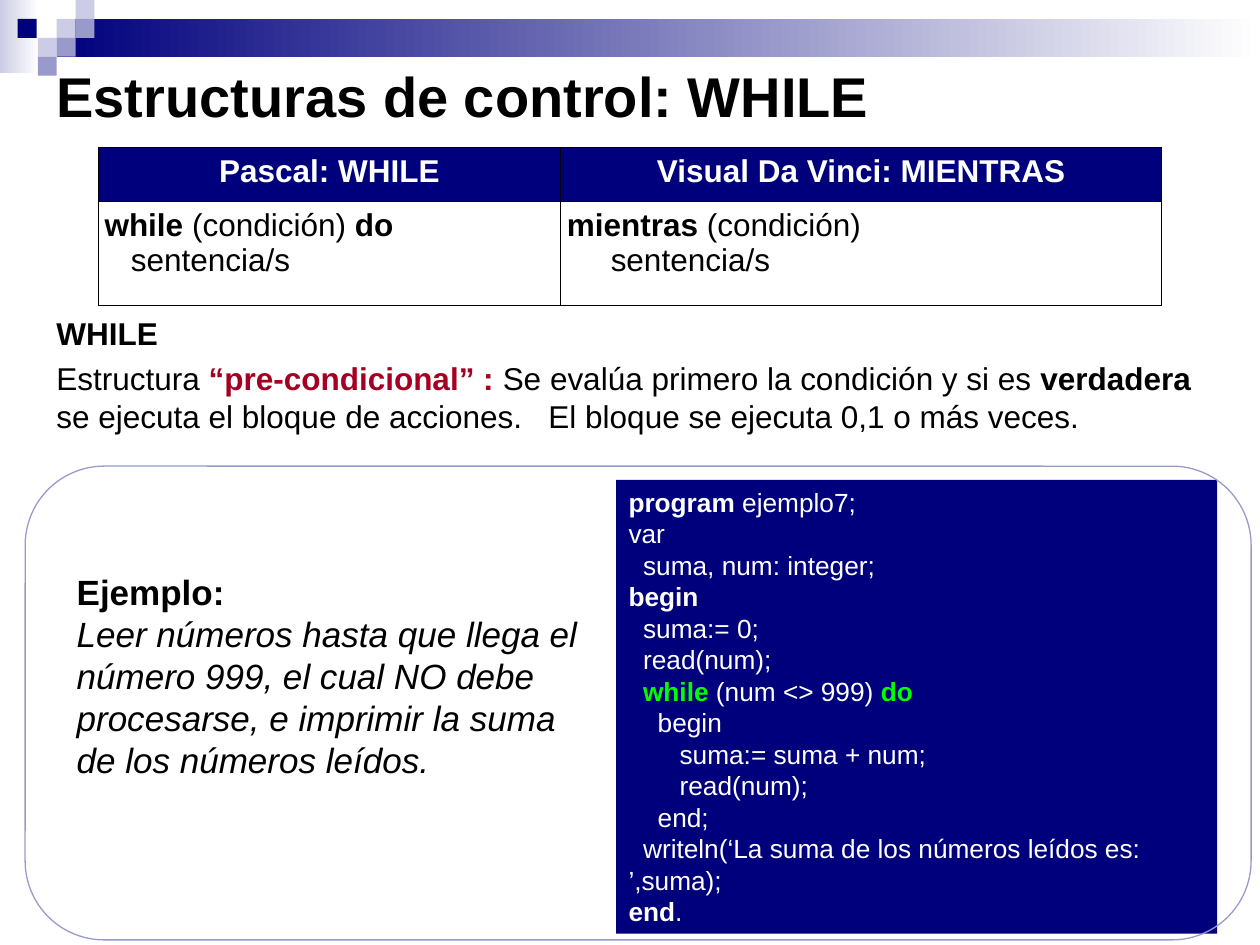
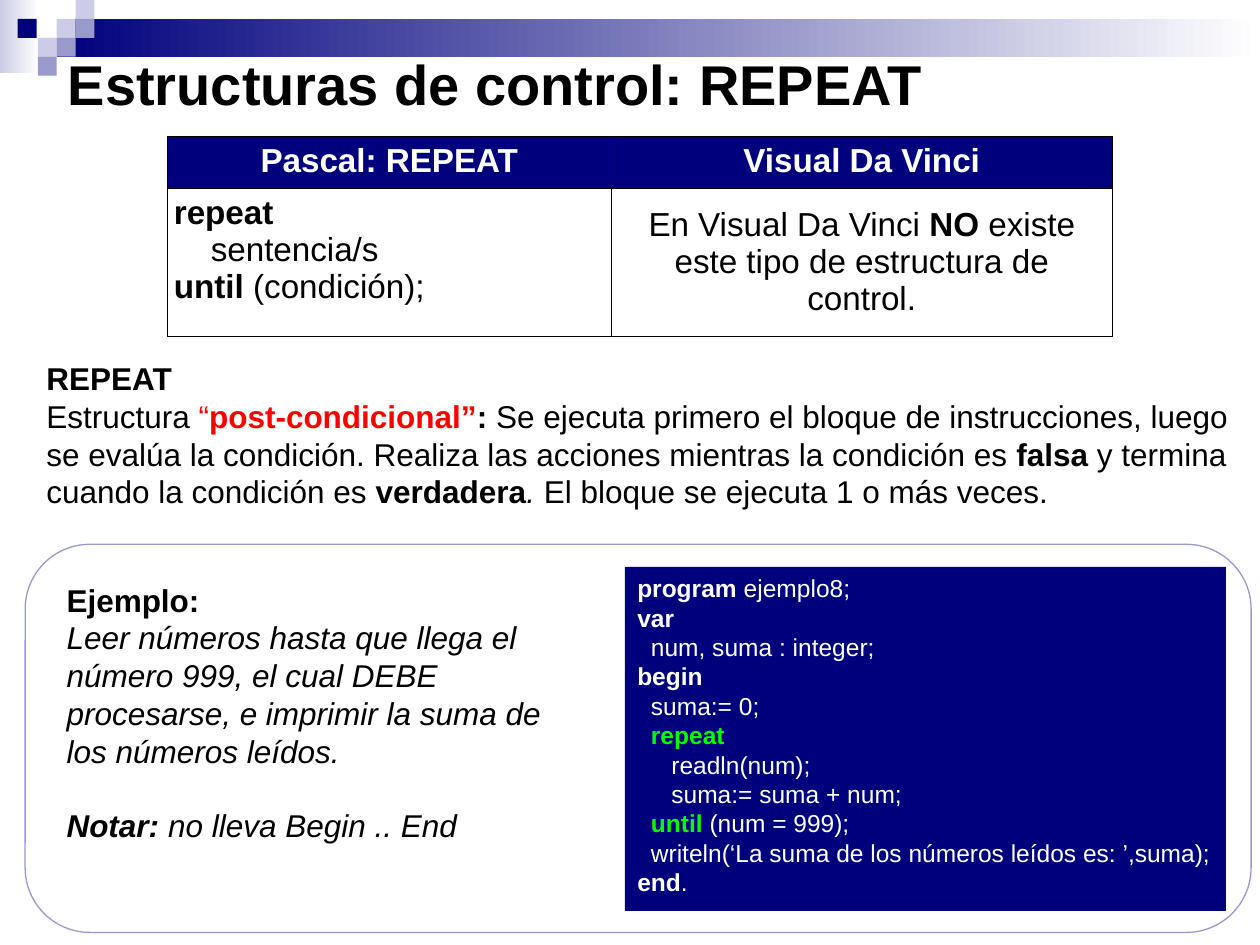
"""Build two slides on the WHILE and REPEAT control structures."""
from lxml.etree import SubElement
from pptx import Presentation
from pptx.dml.color import RGBColor
from pptx.enum.shapes import MSO_SHAPE
from pptx.enum.text import MSO_ANCHOR, PP_ALIGN
from pptx.oxml.ns import qn
from pptx.util import Inches, Pt

COLORS = {
    "navy": "00007D", "lavender": "9999CC", "mist": "CCCCE6", "white": "FFFFFF",
    "black": "000000", "crimson": "A50021", "red": "FF0000", "green": "00FF00",
}
FORMATS = {
    "plain": {},
    "bold": {"bold": True},
    "italic": {"italic": True},
    "bold italic": {"bold": True, "italic": True},
    "crimson": {"bold": True, "color": "crimson"},
    "red": {"color": "red"},
    "red bold": {"bold": True, "color": "red"},
    "keyword": {"bold": True, "color": "green"},
    "wide": {"tracking": 10},
}
SPACE_WIDTH = 0.278
TILE = 0.15
TILES = [(0.45, 0.15, "mist"), (0.6, 0, "mist"), (0.6, 0.15, "lavender"),
         (0.3, 0.3, "mist"), (0.14, 0.15, "navy"), (0.45, 0.3, "lavender"),
         (0.3, 0.45, "lavender")]


def rgb(name):
    """Return the named colour."""
    return RGBColor.from_string(COLORS[name])


def para(*runs, indent=0, **settings):
    """Describe a paragraph; a run is text or a (text, format) pair."""
    return runs, indent, settings


class Deck:
    """Hold the shared style and the current slide."""

    def __init__(self):
        """Start an empty presentation."""
        self.presentation = Presentation()
        self.presentation.slide_width = Inches(10)
        self.presentation.slide_height = Inches(7.5)
        self.slide = None

    def new_slide(self, heading, left, top, height):
        """Add a slide with the banner and its heading."""
        self.slide = self.presentation.slides.add_slide(self.presentation.slide_layouts[6])
        self.gradient((0, 0, 0.31, 0.58), "mist")
        self.gradient((0.45, 0.15, 9.55, 0.3), "navy")
        for x, y, color in TILES:
            self.block((x, y, TILE, TILE), color)
        self.text((left, top, 8.5, height), [para((heading, "bold"))], 32,
                  vertical_anchor=MSO_ANCHOR.BOTTOM, margin_bottom=Inches(0.12))

    def block(self, box, fill=None, line=None, kind=MSO_SHAPE.RECTANGLE):
        """Add a preset shape with an optional fill and outline."""
        shape = self.slide.shapes.add_shape(kind, *map(Inches, box))
        shape.shadow.inherit = False
        if fill:
            shape.fill.solid()
            shape.fill.fore_color.rgb = rgb(fill)
        else:
            shape.fill.background()
        if line:
            shape.line.color.rgb = rgb(line)
            shape.line.width = Pt(0.75)
        else:
            shape.line.fill.background()
        return shape

    def gradient(self, box, start):
        """Add a band that fades to white on the right."""
        fill = self.block(box).fill
        fill.gradient()
        fill.gradient_angle = 0
        for stop, color in zip(fill.gradient_stops, (start, "white")):
            stop.color.rgb = rgb(color)

    def fill_text(self, frame, paragraphs, size, color="black"):
        """Put formatted paragraphs into a text frame."""
        for number, (runs, indent, settings) in enumerate(paragraphs):
            paragraph = frame.add_paragraph() if number else frame.paragraphs[0]
            for name, value in ({"alignment": PP_ALIGN.LEFT} | settings).items():
                setattr(paragraph, name, value)
            if indent:
                first_line = Inches(indent * SPACE_WIDTH * size / 72)
                paragraph._p.get_or_add_pPr().set("indent", str(first_line))
            for entry in runs:
                words, style = (entry, "plain") if isinstance(entry, str) else entry
                look = {"color": color, "bold": False, "italic": False} | FORMATS[style]
                run = paragraph.add_run()
                run.text = words
                run.font.color.rgb = rgb(look.pop("color"))
                tracking = look.pop("tracking", None)
                for name, value in (look | {"name": "Arial", "size": Pt(size)}).items():
                    setattr(run.font, name, value)
                if tracking:
                    run._r.get_or_add_rPr().set("spc", str(tracking * 100))

    def text(self, box, paragraphs, size, **settings):
        """Add a wrapped text box."""
        frame = self.slide.shapes.add_textbox(*map(Inches, box)).text_frame
        for name, value in ({"word_wrap": True} | settings).items():
            setattr(frame, name, value)
        self.fill_text(frame, paragraphs, size)

    def code(self, box, lines, size):
        """Add a navy panel with a program listing."""
        frame = self.block(box, "navy").text_frame
        frame.word_wrap = True
        frame.vertical_anchor = MSO_ANCHOR.TOP
        self.fill_text(frame, lines, size, "white")

    def frame(self, top, height):
        """Outline the example area."""
        self.block((0.2, top, 9.73, height), line="lavender", kind=MSO_SHAPE.ROUNDED_RECTANGLE)

    def border(self, cell):
        """Draw thin black borders around a table cell."""
        properties = cell._tc.get_or_add_tcPr()
        for position, side in enumerate(("lnL", "lnR", "lnT", "lnB")):
            edge = SubElement(properties, qn(f"a:{side}"), w=str(Pt(0.45)))
            solid = SubElement(edge, qn("a:solidFill"))
            SubElement(solid, qn("a:srgbClr"), val=COLORS["black"])
            properties.insert(position, edge)

    def comparison(self, left, top, widths, heights, headings, bodies, size,
                   anchors=(MSO_ANCHOR.TOP, MSO_ANCHOR.TOP)):
        """Add a table that compares the syntax of both languages."""
        box = (left, top, sum(widths), sum(heights))
        table = self.slide.shapes.add_table(2, 2, *map(Inches, box)).table
        table.first_row = table.horz_banding = False
        for column, width in zip(table.columns, widths):
            column.width = Inches(width)
        for row, height in zip(table.rows, heights):
            row.height = Inches(height)
        for index in range(2):
            heading, body = table.cell(0, index), table.cell(1, index)
            heading.fill.solid()
            heading.fill.fore_color.rgb = rgb("navy")
            body.fill.background()
            body.vertical_anchor = anchors[index]
            for cell in (heading, body):
                for side in ("left", "right", "top", "bottom"):
                    setattr(cell, f"margin_{side}", Inches(0.05))
                self.border(cell)
            title = para((headings[index], "bold"), alignment=PP_ALIGN.CENTER)
            self.fill_text(heading.text_frame, [title], size, "white")
            self.fill_text(body.text_frame, bodies[index], size)


def while_slide(deck):
    """Build the WHILE slide."""
    deck.new_slide("Estructuras de control: WHILE", 0.35, 0.21, 0.93)
    pascal = [para(("while ", "bold"), "(condición)", (" do", "bold")),
              para("sentencia/s", indent=3)]
    da_vinci = [para(("mientras ", "bold"), "(condición)"), para("sentencia/s", indent=5)]
    deck.comparison(0.78, 1.17, (3.67, 4.77), (0.43, 0.82),
                    ("Pascal: WHILE", "Visual Da Vinci: MIENTRAS"), (pascal, da_vinci), 18)
    deck.text((0.35, 2.5, 9.37, 1.33), [
        para(("WHILE", "bold"), line_spacing=0.8, space_before=Pt(4.5)),
        para("Estructura ", ("“pre-condicional” : ", "crimson"),
             "Se evalúa primero la condición y si es ", ("verdadera", "bold"),
             " se ejecuta el bloque de acciones.", (" ", "wide"),
             "El bloque se ejecuta 0,1 o más veces.", space_before=Pt(4.5)),
    ], 18)
    deck.text((0.51, 4.48, 4.22, 2.1), [
        para(("Ejemplo:", "bold")),
        para(("Leer números hasta que llega el número 999, el cual NO debe procesarse, "
              "e imprimir la suma de los números leídos.", "italic")),
    ], 20)
    deck.code((4.89, 3.81, 4.77, 3.6), [
        para(("program", "bold"), " ejemplo7;"),
        para("var"),
        para("suma, num: integer;", indent=2),
        para(("begin", "bold")),
        para("suma:= 0;", indent=2),
        para("read(num);", indent=2),
        para(("while", "keyword"), " (num <> 999) ", ("do", "keyword"), indent=2),
        para("begin", indent=4),
        para("suma:= suma + num;", indent=7),
        para("read(num);", indent=7),
        para("end;", indent=4),
        para("writeln(‘La suma de los números leídos es: ’,suma);", indent=2),
        para(("end", "bold"), "."),
    ], 15)
    deck.frame(3.7, 3.76)


def repeat_slide(deck):
    """Build the REPEAT slide."""
    deck.new_slide("Estructuras de control: REPEAT", 0.44, 0.05, 1)
    pascal = [para(("repeat", "bold")), para("sentencia/s", indent=4),
              para(("until", "bold"), " (condición);")]
    da_vinci = [para("En Visual Da Vinci ", ("NO", "bold"),
                     " existe este tipo de estructura de control.",
                     alignment=PP_ALIGN.CENTER)]
    deck.comparison(1.33, 1.08, (3.52, 3.98), (0.39, 1.17),
                    ("Pascal: REPEAT", "Visual Da Vinci"), (pascal, da_vinci), 19,
                    (MSO_ANCHOR.TOP, MSO_ANCHOR.MIDDLE))
    deck.text((0.27, 2.8, 9.65, 1.65), [
        para(("REPEAT", "bold"), space_before=Pt(4.5)),
        para("Estructura ", ("“", "red"), ("post-condicional”", "red bold"), (":", "bold"),
             " Se ejecuta primero el bloque de instrucciones, luego se evalúa la condición. "
             "Realiza las acciones mientras la condición es ", ("falsa", "bold"),
             " y termina cuando la condición es ", ("verdadera", "bold"), (". ", "italic"),
             "El bloque se ejecuta 1 o más veces."),
    ], 18)
    deck.text((0.43, 4.56, 4.22, 2.2), [
        para(("Ejemplo:", "bold")),
        para(("Leer números hasta que llega el número 999, el cual DEBE procesarse, "
              "e imprimir la suma de los números leídos.", "italic")),
        para(("Notar: ", "bold italic"), ("no lleva Begin .. End", "italic"),
             space_before=Pt(21)),
    ], 18)
    deck.code((4.96, 4.5, 4.77, 2.73), [
        para(("program", "bold"), " ejemplo8;"),
        para(("var", "bold")),
        para("num, suma : integer;", indent=2),
        para(("begin", "bold")),
        para("suma:= 0;", indent=2),
        para(("repeat", "keyword"), indent=2),
        para("readln(num);", indent=5),
        para("suma:= suma + num;", indent=5),
        para(("until", "keyword"), " (num = 999);", indent=2),
        para("writeln(‘La suma de los números leídos es: ’,suma);", indent=2),
        para(("end", "bold"), "."),
    ], 14)
    deck.frame(4.32, 3.08)


def main():
    """Build and save the presentation."""
    deck = Deck()
    while_slide(deck)
    repeat_slide(deck)
    deck.presentation.save("out.pptx")


if __name__ == "__main__":
    main()
